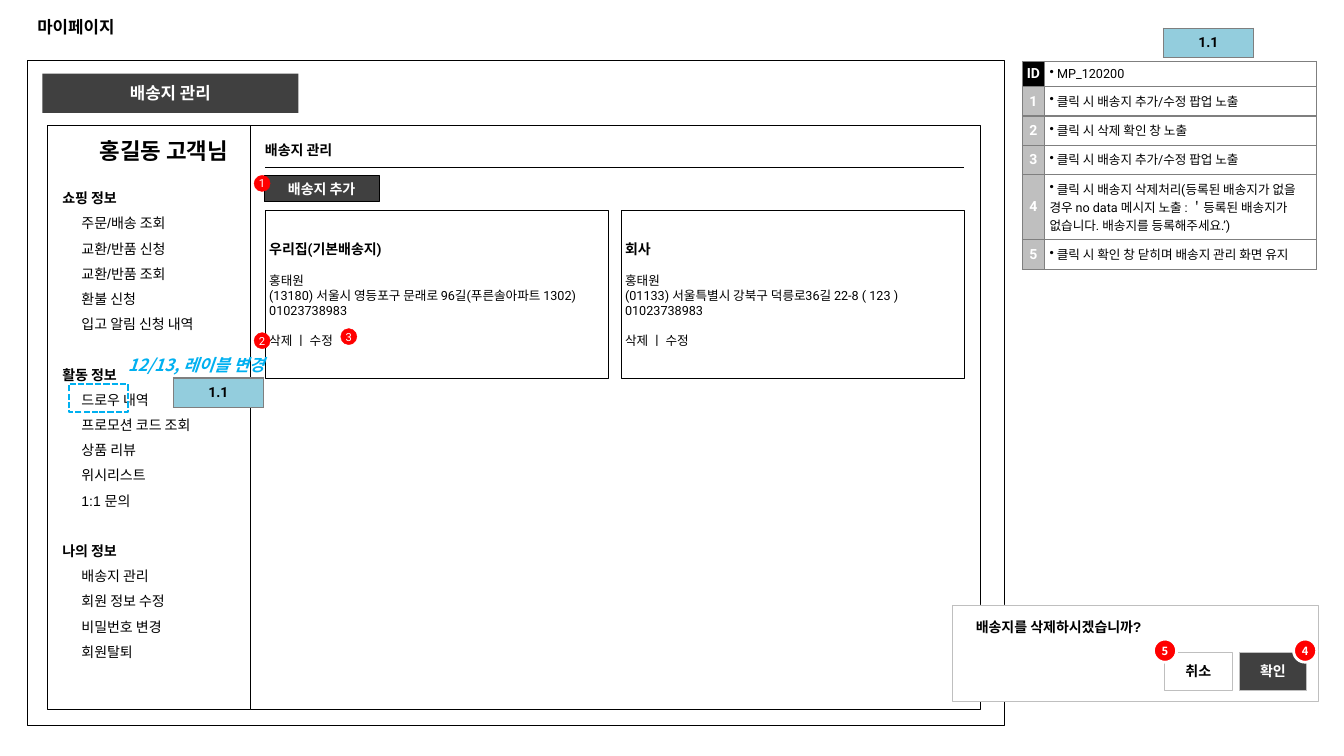
from dataclasses import dataclass
from typing import Optional

from lxml.etree import SubElement
from pptx import Presentation
from pptx.dml.color import RGBColor
from pptx.enum.dml import MSO_LINE
from pptx.enum.shapes import MSO_CONNECTOR, MSO_SHAPE as Preset
from pptx.enum.text import MSO_ANCHOR as Anchor, MSO_AUTO_SIZE as AutoSize, PP_ALIGN as Align
from pptx.oxml.ns import qn
from pptx.shapes.autoshape import Shape
from pptx.slide import Slide
from pptx.table import Table, _Cell as Cell
from pptx.text.text import TextFrame, _Paragraph as Paragraph
from pptx.util import Inches, Pt

COLORS = {
    "black": "000000", "white": "FFFFFF", "dark": "404040", "grey": "7F7F7F",
    "silver": "BFBFBF", "red": "FF0000", "sky": "93CDDD", "cyan": "00B0F0",
}
KOREAN = "Noto Sans CJK KR"


@dataclass
class Style:
    size: float = 10
    font: str = "Arial"
    color: str = "black"
    bold: bool = True
    italic: bool = False


@dataclass
class Box:
    left: float
    top: float
    width: float
    height: float
    fill: Optional[str] = None
    line: Optional[str] = None
    weight: float = 0.25
    text: str = ""
    style: Optional[Style] = None
    preset: Preset = Preset.RECTANGLE


@dataclass
class Label:
    left: float
    top: float
    width: float
    height: float
    text: str
    style: Style
    spacing: Optional[float] = None
    anchor: Anchor = Anchor.TOP
    wrap: bool = True


@dataclass
class Address:
    left: float
    name: str
    lines: tuple[str, ...]


@dataclass
class Tag:
    left: float
    top: float


BUTTON = Style(font=KOREAN, color="white")
BADGE = Style(8, "Roboto", "white", False)
POPUP_BADGE = Style(8, KOREAN, "white")
MARK = Style(font="Roboto")
MARK_WHITE = Style(font="Roboto", color="white")
BODY = Style(9, "Roboto", bold=False)
HEADING = Style()
MENU_ITEM = Style(bold=False)

PANELS = [
    Box(0.27, 0.6, 9.69, 6.6, line="black", weight=0.75),
    Box(0.47, 1.24, 2.02, 5.8, "white", "black"),
    Box(0.42, 0.73, 2.54, 0.39, "dark", text="배송지 관리", style=Style(12, color="white")),
    Box(2.48, 1.24, 7.24, 5.8, "white", "black"),
    Box(2.62, 1.74, 1.14, 0.26, "dark", "black", text="배송지 추가", style=BUTTON),
]
POPUP = [
    Box(9.44, 6, 3.63, 0.96, "white", "silver"),
    Box(12.29, 6.47, 0.67, 0.38, "dark", "silver", text="확인", style=BUTTON),
    Box(11.55, 6.47, 0.67, 0.38, "white", "silver", text="취소", style=Style(font=KOREAN)),
]
BADGES = [
    Box(left, top, 0.16, 0.16, "red", "red", 0.25, number, BADGE, Preset.OVAL)
    for number, left, top in (("1", 2.52, 1.74), ("2", 2.52, 3.3), ("3", 3.38, 3.26))
] + [
    Box(left, 6.34, 0.23, 0.23, "red", "white", 2, number, POPUP_BADGE, Preset.OVAL)
    for number, left in (("4", 12.83), ("5", 11.44))
]
LABELS = [
    Label(0.89, 1.33, 1.72, 0.33, "홍길동 고객님", Style(16), 18),
    Label(2.53, 1.28, 1.97, 0.33, "배송지 관리", HEADING, 18, Anchor.MIDDLE),
    Label(9.58, 6.09, 2.71, 0.27, "배송지를 삭제하시겠습니까?", HEADING),
    Label(1.17, 3.47, 1.67, 0.3, "12/13, 레이블 변경", Style(12, KOREAN, "cyan", italic=True), wrap=False),
]
MENU = {
    "쇼핑 정보": ("주문/배송 조회", "교환/반품 신청", "교환/반품 조회", "환불 신청", "입고 알림 신청 내역"),
    "활동 정보": ("드로우 내역", "프로모션 코드 조회", "상품 리뷰", "위시리스트", "1:1 문의"),
    "나의 정보": ("배송지 관리", "회원 정보 수정", "비밀번호 변경", "회원탈퇴"),
}
ADDRESSES = [
    Address(2.63, "우리집(기본배송지)",
            ("홍태원", "(13180) 서울시 영등포구 문래로 96길(푸른솔아파트 1302)", "01023738983")),
    Address(6.16, "회사",
            ("홍태원", "(01133) 서울특별시 강북구 덕릉로36길 22-8 (\u00a0123\u00a0)".replace("\u00a0", " "), "01023738983")),
]
NOTES = [
    ("ID", "MP_120200", 0.25),
    ("1", "클릭 시 배송지 추가/수정 팝업 노출", 0.29),
    ("2", "클릭 시 삭제 확인 창 노출", 0.29),
    ("3", "클릭 시 배송지 추가/수정 팝업 노출", 0.29),
    ("4", "클릭 시 배송지 삭제처리(등록된 배송지가 없을 경우 no data 메시지 노출 : ＇등록된 배송지가 없습니다. 배송지를 등록해주세요.’)", 0.65),
    ("5", "클릭 시 확인 창 닫히며 배송지 관리 화면 유지", 0.29),
]
TAGS = [Tag(11.54, 0.28), Tag(1.72, 3.75)]


def rgb(name: str) -> RGBColor:
    return RGBColor.from_string(COLORS[name])


def write(para: Paragraph, text: str, style: Style) -> None:
    para.text = text
    for span in para.runs:
        font = span.font
        font.size, font.name = Pt(style.size), style.font
        font.bold, font.italic = style.bold, style.italic
        font.color.rgb = rgb(style.color)
        SubElement(span._r.get_or_add_rPr(), qn("a:ea"), typeface=KOREAN)


def next_para(frame: TextFrame, first: bool) -> Paragraph:
    return frame.paragraphs[0] if first else frame.add_paragraph()


def set_margins(target: TextFrame | Cell, inset: float) -> None:
    target.margin_left = target.margin_right = Inches(inset)
    target.margin_top = target.margin_bottom = Inches(inset)


def add_box(page: Slide, item: Box) -> Shape:
    box = page.shapes.add_shape(item.preset, *map(Inches, (item.left, item.top, item.width, item.height)))
    box.shadow.inherit = False
    if item.fill:
        box.fill.solid()
        box.fill.fore_color.rgb = rgb(item.fill)
    else:
        box.fill.background()
    if item.line:
        box.line.color.rgb = rgb(item.line)
        box.line.width = Pt(item.weight)
    else:
        box.line.fill.background()
    if item.style:
        frame = box.text_frame
        set_margins(frame, 0)
        frame.vertical_anchor = Anchor.MIDDLE
        write(frame.paragraphs[0], item.text, item.style)
        frame.paragraphs[0].alignment = Align.CENTER
    return box


def add_label(page: Slide, item: Label) -> None:
    frame = page.shapes.add_textbox(*map(Inches, (item.left, item.top, item.width, item.height))).text_frame
    frame.word_wrap = item.wrap
    frame.vertical_anchor = item.anchor
    write(frame.paragraphs[0], item.text, item.style)
    if item.spacing:
        frame.paragraphs[0].line_spacing = Pt(item.spacing)


def add_menu(page: Slide) -> None:
    frame = page.shapes.add_textbox(Inches(0.51), Inches(1.75), Inches(1.97), Inches(4.73)).text_frame
    frame.word_wrap = True
    for section, (heading, items) in enumerate(MENU.items()):
        for row, text in enumerate((heading, *items)):
            para = next_para(frame, section == row == 0)
            write(para, text, MENU_ITEM if row else HEADING)
            para.line_spacing = Pt(18)
            para.space_before = Pt(18 if section and not row else 0)
            para._p.get_or_add_pPr().set("marL", str(Inches(0.2 if row else 0.01)))


def add_address(page: Slide, item: Address) -> None:
    frame = add_box(page, Box(item.left, 2.09, 3.4, 1.66, "white", "black")).text_frame
    set_margins(frame, 0.04)
    frame.vertical_anchor = Anchor.MIDDLE
    for row, text in enumerate((item.name, *item.lines, "삭제 ㅣ 수정")):
        para = next_para(frame, row == 0)
        write(para, text, BODY if row else MARK)
        para.alignment = Align.LEFT
        para.line_spacing = Pt(10.8 if row else 12)
        para.space_before = Pt(11 if row in (1, 4) else 0)


def add_grid(page: Slide, left: float, top: float, widths: list[float], heights: list[float]) -> Table:
    grid = page.shapes.add_table(len(heights), len(widths), *map(Inches, (left, top, sum(widths), sum(heights)))).table
    grid.first_row = grid.horz_banding = False
    for column, width in zip(grid.columns, widths):
        column.width = Inches(width)
    for row, height in zip(grid.rows, heights):
        row.height = Inches(height)
    return grid


def fill_cell(cell: Cell, text: str, style: Style, fill: Optional[str] = None) -> None:
    properties = cell._tc.get_or_add_tcPr()
    for side in ("a:lnL", "a:lnR", "a:lnT", "a:lnB"):
        edge = SubElement(properties, qn(side), w=str(Pt(1)))
        SubElement(SubElement(edge, qn("a:solidFill")), qn("a:srgbClr"), val=COLORS["grey"])
    para = cell.text_frame.paragraphs[0]
    if fill:
        cell.fill.solid()
        cell.fill.fore_color.rgb = rgb(fill)
        cell.vertical_anchor = Anchor.MIDDLE
        set_margins(cell, 0)
        para.alignment = Align.CENTER
        write(para, text, style)
    else:
        cell.fill.background()
        set_margins(cell, 0.05)
        write(para, f" {text}", style)
        SubElement(para._p.get_or_add_pPr(), qn("a:buChar"), char="•")


def main() -> None:
    deck = Presentation()
    deck.slide_width, deck.slide_height = Inches(13.33), Inches(7.5)
    page = deck.slides.add_slide(deck.slide_layouts[5])

    title = page.shapes.title
    title.left, title.top, title.width, title.height = map(Inches, (0.27, 0.07, 12.79, 0.39))
    title.text_frame.auto_size = AutoSize.NONE
    title.text_frame.vertical_anchor = Anchor.MIDDLE
    write(title.text_frame.paragraphs[0], "마이페이지", Style(12))
    title.text_frame.paragraphs[0].alignment = Align.LEFT

    for panel in PANELS:
        add_box(page, panel)
    rule = page.shapes.add_connector(MSO_CONNECTOR.STRAIGHT, *map(Inches, (2.63, 1.66, 9.56, 1.66)))
    rule.line.color.rgb = rgb("black")
    rule.line.width = Pt(0.75)
    SubElement(rule._element.spPr, qn("a:effectLst"))

    add_menu(page)
    for address in ADDRESSES:
        add_address(page, address)
    for item in POPUP + BADGES:
        add_box(page, item)

    notes = add_grid(page, 10.14, 0.61, [0.22, 2.7], [height for _, _, height in NOTES])
    for row, (mark, text, _) in enumerate(NOTES):
        fill_cell(notes.cell(row, 0), mark, MARK_WHITE, "silver" if row else "black")
        fill_cell(notes.cell(row, 1), text, BODY)
    for tag in TAGS:
        fill_cell(add_grid(page, tag.left, tag.top, [0.89], [0.29]).cell(0, 0), "1.1", MARK, "sky")

    for label in LABELS:
        add_label(page, label)
    highlight = add_box(page, Box(0.68, 3.81, 0.59, 0.28, line="cyan", weight=1.5))
    highlight.line.dash_style = MSO_LINE.SQUARE_DOT
    deck.save("out.pptx")


if __name__ == "__main__":
    main()
